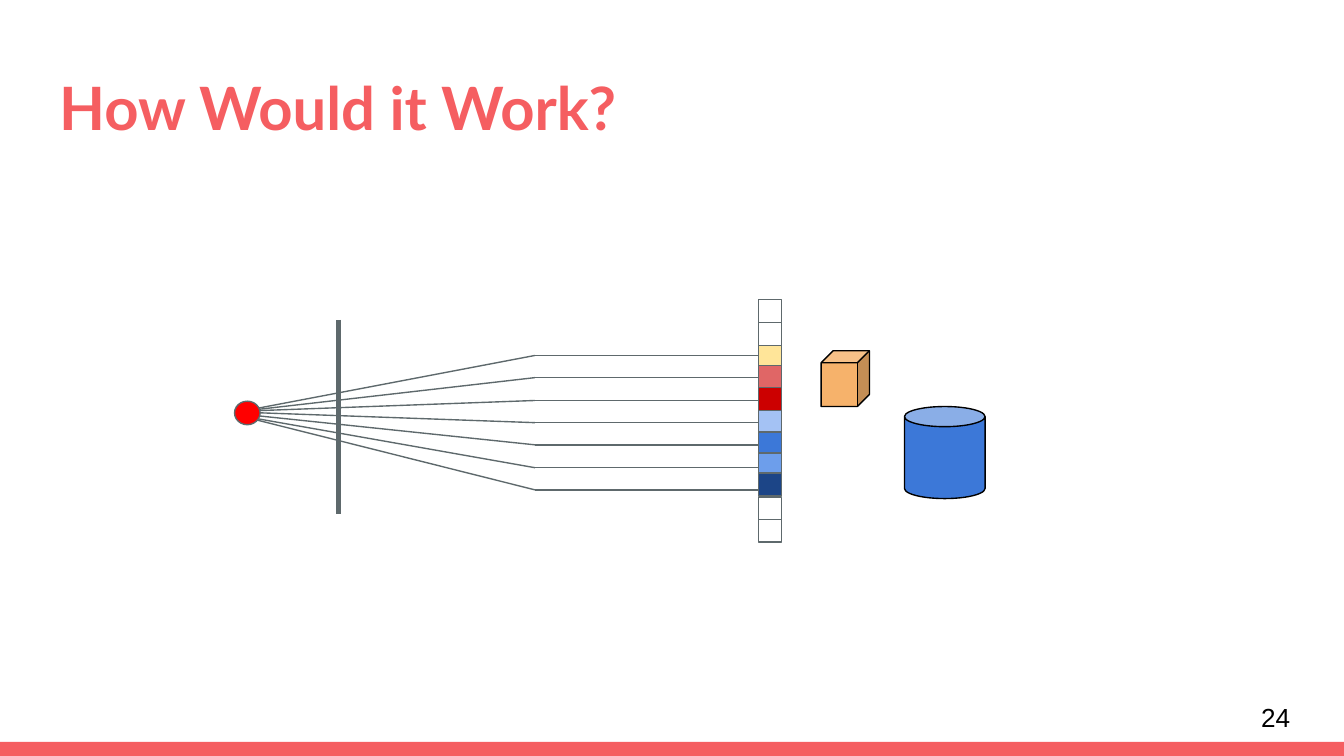
from typing import NamedTuple

from lxml.etree import SubElement
from pptx import Presentation
from pptx.dml.color import RGBColor as Rgb
from pptx.enum.shapes import MSO_CONNECTOR as Link, MSO_SHAPE as Kind
from pptx.enum.text import MSO_ANCHOR as Anchor, MSO_AUTO_SIZE as Fit, PP_ALIGN as Align
from pptx.oxml.ns import qn
from pptx.util import Pt

SCALE = 4572
HUES = {
    "coral": "F55E61", "grey": "5E696C", "black": "000000", "white": "FFFFFF",
    "cream": "FFE599", "rose": "E06666", "red": "CC0000", "pale": "A4C2F4",
    "blue": "3C78D8", "sky": "6D9EEB", "navy": "1C4587", "amber": "F6B26B",
    "flame": "FF0000",
}


class Box(NamedTuple):
    left: int
    top: int
    width: int
    height: int


class Cell(NamedTuple):
    top: int
    hue: str


class Point(NamedTuple):
    x: int
    y: int


def px(size: int) -> int:
    return size * SCALE


def tint(hue: str) -> Rgb:
    return Rgb.from_string(HUES[hue])


def draw(slide, kind: Kind, box: Box, hue: str, edge: str = "") -> None:
    shape = slide.shapes.add_shape(kind, *map(px, box))
    shape.shadow.inherit = False
    shape.fill.solid()
    shape.fill.fore_color.rgb = tint(hue)
    if edge:
        shape.line.color.rgb = tint(edge)
        shape.line.width = Pt(0.75)
    else:
        shape.line.fill.background()


def join(slide, start: Point, end: Point, width: float = 0.75) -> None:
    line = slide.shapes.add_connector(Link.STRAIGHT, *map(px, start + end))
    line.line.color.rgb = tint("grey")
    line.line.width = Pt(width)
    SubElement(line._element.spPr, qn("a:effectLst"))


def write(shape, text: str, font: str, size: int, hue: str, bold: bool, anchor: Anchor) -> None:
    frame = shape.text_frame
    frame.text = text
    frame.word_wrap = True
    frame.auto_size = Fit.NONE
    frame.vertical_anchor = anchor
    frame.margin_left = frame.margin_right = px(20)
    frame.margin_top = frame.margin_bottom = px(20)
    para = frame.paragraphs[0]
    para.alignment = Align.LEFT
    para.font.name = font
    para.font.size = Pt(size)
    para.font.bold = bold
    para.font.color.rgb = tint(hue)


WALL, BEND = 1129, 796
HITS = [
    Cell(512, "cream"), Cell(544, "rose"), Cell(675, "sky"), Cell(640, "blue"),
    Cell(704, "navy"), Cell(609, "pale"), Cell(577, "red"),
]
BLANKS = [Cell(top, "white") for top in (480, 446, 740, 773)]
ENDS = [
    Point(360, 612), Point(360, 612), Point(360, 612), Point(376, 614),
    Point(376, 618), Point(354, 618), Point(354, 618),
]


def stack(slide, cells: list[Cell]) -> None:
    for cell in cells:
        draw(slide, Kind.RECTANGLE, Box(WALL, cell.top, 34, 34), cell.hue, "grey")


def main() -> None:
    deck = Presentation()
    deck.slide_width, deck.slide_height = px(2000), px(1125)
    slide = deck.slides.add_slide(deck.slide_layouts[5])

    draw(slide, Kind.RECTANGLE, Box(0, 1104, 2000, 21), "coral")
    title = slide.shapes.title
    title.left, title.top, title.width, title.height = map(px, Box(68, 86, 1864, 136))
    write(title, "How Would it Work?", "Lato", 32, "coral", True, Anchor.TOP)
    number = slide.shapes.add_textbox(*map(px, Box(1857, 1024, 120, 86)))
    write(number, "24", "Arial", 14, "black", False, Anchor.MIDDLE)

    stack(slide, HITS)
    join(slide, Point(504, 476), Point(504, 765), 3)
    for step, end in enumerate(ENDS):
        bend = Point(BEND, 529 + round(step * 100 / 3))
        join(slide, Point(WALL, bend.y), bend)
        join(slide, bend, end)

    draw(slide, Kind.CUBE, Box(1222, 522, 72, 83), "amber", "black")
    draw(slide, Kind.CAN, Box(1346, 605, 120, 137), "blue", "black")
    stack(slide, BLANKS)
    draw(slide, Kind.OVAL, Box(349, 597, 38, 35), "flame", "grey")

    deck.save("out.pptx")


if __name__ == "__main__":
    main()
